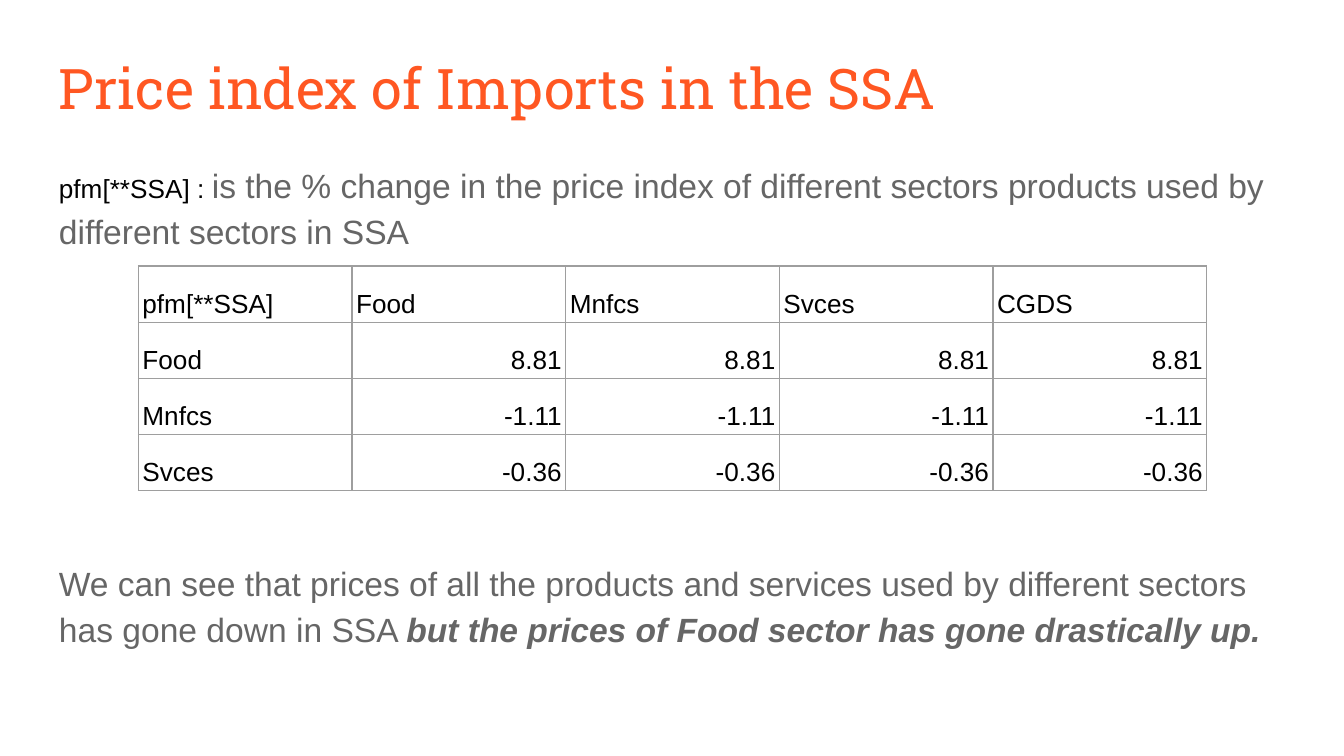
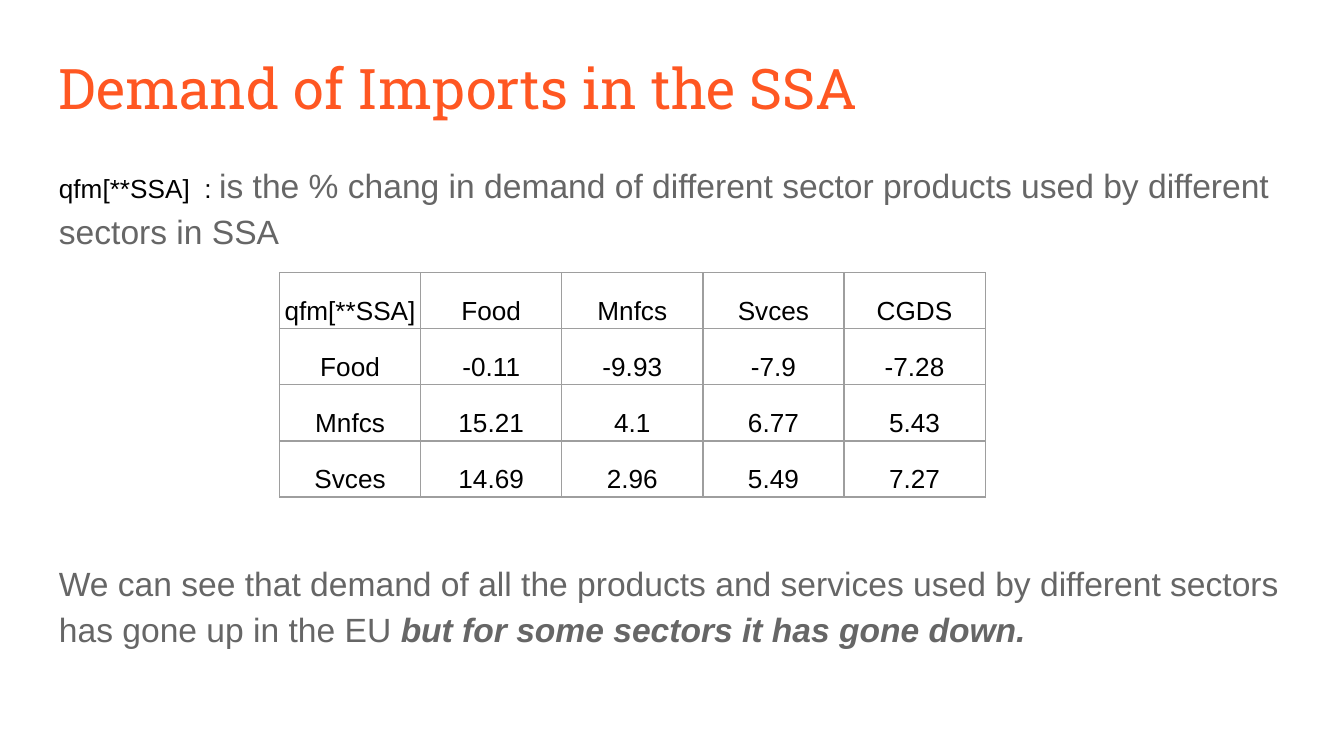
import lxml.etree
import pptx
import pptx.dml.color
import pptx.enum.text
import pptx.oxml.ns
import pptx.util

ALIGN = pptx.enum.text.PP_ALIGN
ANCHOR = pptx.enum.text.MSO_ANCHOR
COLUMNS, ROWS = 100, 56.25
SPAN = 93.2
MARGIN = 3.4
SECTORS = ["Food", "Mnfcs", "Svces", "CGDS"]

TITLE = {"name": "Roboto Slab", "size": pptx.util.Pt(30), "color": "FF5722"}
TERM = {"name": "Arial", "size": pptx.util.Pt(14), "color": "000000"}
PROSE = {"name": "Arial", "size": pptx.util.Pt(18), "color": "666666"}
STRESS = {**PROSE, "bold": True, "italic": True}


def color(code):
    return pptx.dml.color.RGBColor.from_string(code)


class Deck:
    """Holds the shared style and the current slide on a grid of columns and rows."""

    border = "9E9E9E"
    border_width = pptx.util.Pt(0.75)
    spacing = 1.15

    def __init__(self):
        self.show = pptx.Presentation()
        self.show.slide_width = pptx.util.Inches(10)
        self.show.slide_height = pptx.util.Inches(5.625)
        self.slide = None

    def new_slide(self):
        self.slide = self.show.slides.add_slide(self.show.slide_layouts[6])
        self.slide.background.fill.solid()
        self.slide.background.fill.fore_color.rgb = color("FFFFFF")

    def across(self, columns):
        return round(self.show.slide_width * columns / COLUMNS)

    def down(self, rows):
        return round(self.show.slide_height * rows / ROWS)

    def fill_paragraph(self, paragraph, pieces, spacing=spacing, align=ALIGN.LEFT):
        paragraph.line_spacing = spacing
        paragraph.alignment = align
        for words, style in pieces:
            run = paragraph.add_run()
            run.text = words
            for key, value in style.items():
                if key == "color":
                    run.font.color.rgb = color(value)
                else:
                    setattr(run.font, key, value)

    def text(self, top, height, pieces, spacing=spacing):
        box = self.slide.shapes.add_textbox(
            self.across(MARGIN), self.down(top), self.across(SPAN), self.down(height))
        inset = pptx.util.Inches(0.1)
        frame = {"word_wrap": True, "vertical_anchor": ANCHOR.TOP,
                 "margin_left": inset, "margin_right": inset,
                 "margin_top": inset, "margin_bottom": inset}
        for key, value in frame.items():
            setattr(box.text_frame, key, value)
        self.fill_paragraph(box.text_frame.paragraphs[0], pieces, spacing)

    def title(self, words):
        self.text(3, 6.3, [(words, TITLE)], 1)

    def outline(self, cell):
        properties = cell._tc.get_or_add_tcPr()
        for place, side in enumerate(("lnL", "lnR", "lnT", "lnB")):
            line = lxml.etree.Element(pptx.oxml.ns.qn(f"a:{side}"), w=str(self.border_width))
            fill = lxml.etree.SubElement(line, pptx.oxml.ns.qn("a:solidFill"))
            lxml.etree.SubElement(fill, pptx.oxml.ns.qn("a:srgbClr"), val=self.border)
            properties.insert(place, line)

    def table(self, left, top, column, row, records, label_align, value_align):
        grid = self.slide.shapes.add_table(
            len(records), len(records[0]), self.across(left), self.down(top),
            self.across(column * len(records[0])), self.down(row * len(records))).table
        grid.first_row = grid.horz_banding = False
        side, edge = pptx.util.Inches(0.03), pptx.util.Inches(0.02)
        layout = {"vertical_anchor": ANCHOR.BOTTOM, "margin_left": side,
                  "margin_right": side, "margin_top": edge, "margin_bottom": edge}
        for r, record in enumerate(records):
            for c, entry in enumerate(record):
                cell = grid.cell(r, c)
                for key, value in layout.items():
                    setattr(cell, key, value)
                cell.fill.background()
                self.outline(cell)
                align = value_align if r and c else label_align
                self.fill_paragraph(cell.text_frame.paragraphs[0], [(entry, TERM)], align=align)

    def report(self, title, term, colon, meaning, values, placing, finding, stress):
        self.new_slide()
        self.title(title)
        self.text(10.8, 7.8, [(term + colon, TERM), (meaning, PROSE)])
        records = [[term, *SECTORS]]
        records += [[sector, *row] for sector, row in zip(SECTORS, values)]
        self.table(records=records, row=4.17, **placing)
        self.text(40.4, 10.1, [(finding, PROSE), (stress, STRESS)])


def main():
    deck = Deck()
    deck.report(
        "Price index of Imports in the SSA", "pfm[**SSA]", " : ",
        "is the % change in the price index of different sectors products used by "
        "different sectors in SSA",
        [[change] * len(SECTORS) for change in ("8.81", "-1.11", "-0.36")],
        {"left": 10.3, "top": 19.8, "column": 15.9,
         "label_align": ALIGN.LEFT, "value_align": ALIGN.RIGHT},
        "We can see that prices of all the products and services used by different "
        "sectors has gone down in SSA ",
        "but the prices of Food sector has gone drastically up.")
    deck.report(
        "Demand of Imports in the SSA", "qfm[**SSA]", "  : ",
        "is the % chang in demand of different sector products used by different "
        "sectors in SSA",
        [["-0.11", "-9.93", "-7.9", "-7.28"],
         ["15.21", "4.1", "6.77", "5.43"],
         ["14.69", "2.96", "5.49", "7.27"]],
        {"left": 20.8, "top": 20.3, "column": 10.5,
         "label_align": ALIGN.CENTER, "value_align": ALIGN.CENTER},
        "We can see that demand of all the products and services used by different "
        "sectors has gone up in the EU ",
        "but for some sectors it has gone down.")
    deck.show.save("out.pptx")


if __name__ == "__main__":
    main()
